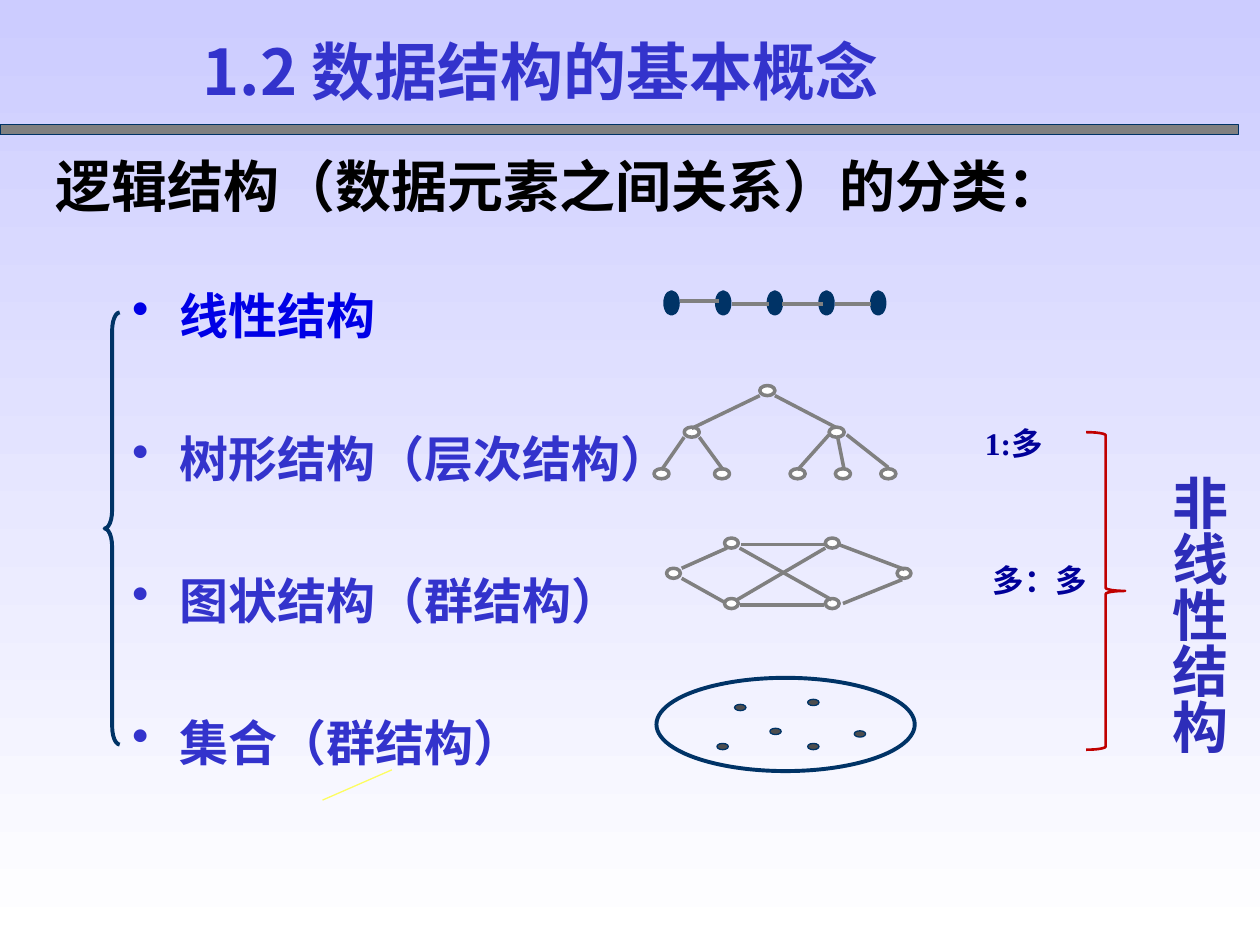
from lxml import etree
from pptx import Presentation
from pptx.dml.color import RGBColor
from pptx.enum.shapes import MSO_CONNECTOR, MSO_SHAPE
from pptx.enum.text import MSO_AUTO_SIZE, PP_ALIGN
from pptx.oxml.ns import qn
from pptx.util import Inches, Pt

RECT, OVAL = MSO_SHAPE.RECTANGLE, MSO_SHAPE.OVAL
LEFT_BRACE, RIGHT_BRACE = MSO_SHAPE.LEFT_BRACE, MSO_SHAPE.RIGHT_BRACE
STRAIGHT = MSO_CONNECTOR.STRAIGHT
LEFT, CENTER, JUSTIFY = PP_ALIGN.LEFT, PP_ALIGN.CENTER, PP_ALIGN.JUSTIFY
NO_AUTOSIZE = MSO_AUTO_SIZE.NONE

BLACK = RGBColor(0x00, 0x00, 0x00)
WHITE = RGBColor(0xFF, 0xFF, 0xFF)
LAVENDER = RGBColor(0xCC, 0xCC, 0xFF)
NAVY = RGBColor(0x00, 0x33, 0x66)
GRAY = RGBColor(0x80, 0x80, 0x80)
DARK_GRAY = RGBColor(0x4D, 0x4D, 0x4D)
BLUE = RGBColor(0x00, 0x00, 0xE6)
INDIGO = RGBColor(0x33, 0x33, 0xCC)
DEEP_INDIGO = RGBColor(0x2D, 0x2D, 0xB9)
DARK_BLUE = RGBColor(0x00, 0x00, 0x99)
RED = RGBColor(0xC0, 0x00, 0x00)
YELLOW = RGBColor(0xFD, 0xFD, 0x60)

SERIF = "Times New Roman"
SANS = "Noto Sans CJK SC"


class SlideBuilder:
    def __init__(self, prs):
        self.s = prs.slides.add_slide(prs.slide_layouts[6])

    def background(self, top, bottom):
        fill = self.s.background.fill
        fill.gradient()
        fill.gradient_angle = 270
        for stop, color in zip(fill.gradient_stops, (top, bottom)):
            stop.color.rgb = color

    def shape(self, kind, x, y, w, h, line, width, fill=None, adjust=None):
        sp = self.s.shapes.add_shape(kind, Inches(x), Inches(y), Inches(w), Inches(h))
        sp.shadow.inherit = False
        if fill is None:
            sp.fill.background()
        else:
            sp.fill.solid()
            sp.fill.fore_color.rgb = fill
        sp.line.color.rgb = line
        sp.line.width = Pt(width)
        if adjust is not None:
            sp.adjustments[0] = adjust
        return sp

    def line(self, x1, y1, x2, y2, color=GRAY, width=2):
        cx = self.s.shapes.add_connector(
            STRAIGHT, Inches(x1), Inches(y1), Inches(x2), Inches(y2))
        cx.line.color.rgb = color
        cx.line.width = Pt(width)
        etree.SubElement(cx._element.spPr, qn("a:effectLst"))

    def graph(self, nodes, edges, w, h):
        for x, y in nodes:
            self.shape(OVAL, x, y, w, h, GRAY, 2, WHITE)
        for edge in edges:
            self.line(*edge)

    def text(self, x, y, w, h, lines, size, color, font=SERIF, align=LEFT):
        sp = self.s.shapes.add_textbox(Inches(x), Inches(y), Inches(w), Inches(h))
        tf = sp.text_frame
        tf.word_wrap = True
        tf.auto_size = NO_AUTOSIZE
        tf.text = "\n".join(lines)
        for p in tf.paragraphs:
            p.alignment = align
            for r in p.runs:
                r.font.size = Pt(size)
                r.font.bold = True
                r.font.name = font
                r.font.color.rgb = color
                ea = etree.SubElement(r._r.get_or_add_rPr(), qn("a:ea"))
                ea.set("typeface", SANS)
        return tf

    def bullets(self, x, y, w, h, items, size, color, first_color, gap):
        tf = self.text(x, y, w, h, items, size, color)
        tf.paragraphs[0].runs[0].font.color.rgb = first_color
        for p in tf.paragraphs:
            p.space_after = Pt(gap)
            pPr = p._p.get_or_add_pPr()
            pPr.set("marL", str(Inches(0.38)))
            pPr.set("indent", str(Inches(-0.38)))
            bu_color = etree.SubElement(pPr, qn("a:buClr"))
            rgb = etree.SubElement(bu_color, qn("a:srgbClr"))
            rgb.set("val", str(p.runs[0].font.color.rgb))
            etree.SubElement(pPr, qn("a:buChar")).set("char", "•")

    def vertical_text(self, x, y, w, h, text, size, color):
        tf = self.text(x, y, w, h, [text], size, color, SANS, JUSTIFY)
        tf.word_wrap = False
        tf.margin_left = tf.margin_right = Inches(0.05)
        tf.margin_top = tf.margin_bottom = Inches(0.1)
        tf._txBody.bodyPr.set("vert", "eaVert")


def main():
    prs = Presentation()
    prs.slide_width, prs.slide_height = Inches(10), Inches(7.5)
    b = SlideBuilder(prs)
    b.background(LAVENDER, WHITE)

    b.shape(RECT, 0, 0.99, 9.83, 0.08, NAVY, 0.75, GRAY)
    b.text(0.34, 1.15, 8.52, 0.64, ["逻辑结构（数据元素之间关系）的分类："], 32, BLACK)
    structures = ["线性结构", "树形结构（层次结构）", "图状结构（群结构）", "集合（群结构）"]
    b.bullets(0.95, 2.22, 7.56, 3.86, structures, 28, INDIGO, BLUE, 47.7)

    for i in range(5):
        b.shape(OVAL, 5.28 + 0.41 * i, 2.32, 0.1, 0.17, NAVY, 2.25, NAVY)
    for x1, x2, y in [(5.4, 5.71, 2.39), (5.81, 6.1, 2.41),
                      (6.21, 6.53, 2.41), (6.63, 6.91, 2.41)]:
        b.line(x1, y, x2, y, width=2.25)

    tree_levels = {3.06: [6.03], 3.39: [5.43, 6.58],
                   3.72: [5.19, 5.67, 6.27, 6.63, 6.99]}
    tree_nodes = [(x, y) for y, xs in tree_levels.items() for x in xs]
    tree_edges = [
        (6.03, 3.14, 5.49, 3.4), (6.15, 3.14, 6.63, 3.39),
        (5.43, 3.47, 5.25, 3.73), (5.55, 3.47, 5.74, 3.73),
        (6.58, 3.45, 6.33, 3.73), (6.65, 3.48, 6.7, 3.73),
        (6.72, 3.45, 7.05, 3.71),
    ]
    b.graph(tree_nodes, tree_edges, 0.12, 0.08)

    net_nodes = [(x, y) for x in (5.75, 6.55) for y in (4.27, 4.75)]
    net_nodes += [(5.29, 4.51), (7.12, 4.51)]
    net_edges = [
        (5.41, 4.51, 5.77, 4.35), (5.41, 4.59, 5.75, 4.78),
        (5.88, 4.32, 6.55, 4.32), (5.87, 4.8, 6.54, 4.8),
        (6.65, 4.32, 7.18, 4.52), (6.69, 4.79, 7.16, 4.6),
        (5.87, 4.35, 6.6, 4.76), (6.55, 4.35, 5.85, 4.76),
    ]
    b.graph(net_nodes, net_edges, 0.11, 0.08)

    for x, y, ratio in [(7.42, 3.32, "1:多"), (7.63, 4.4, "多：多")]:
        b.text(x, y, 1.25, 0.4, [ratio], 18, DARK_BLUE, align=CENTER)

    b.shape(LEFT_BRACE, 0.83, 2.48, 0.12, 3.43, NAVY, 2.25, adjust=1.2)

    b.shape(OVAL, 5.21, 5.38, 2.05, 0.74, NAVY, 2.25)
    for x, y in [(5.83, 5.59), (6.41, 5.55), (5.69, 5.9),
                 (6.41, 5.9), (6.11, 5.78), (6.78, 5.8)]:
        b.shape(OVAL, x, y, 0.09, 0.05, NAVY, 0.75, DARK_GRAY)

    b.text(1.51, 0.21, 8.5, 1.25, ["1.2 数据结构的基本概念"], 36, INDIGO, SANS)
    b.line(3.11, 6.11, 2.56, 6.35, YELLOW, 0.75)
    b.shape(RIGHT_BRACE, 8.62, 3.43, 0.31, 2.52, RED, 1.5, adjust=0.08)
    b.vertical_text(9.1, 3.67, 0.73, 2.33, "非线性结构", 32, DEEP_INDIGO)

    prs.save("out.pptx")


if __name__ == "__main__":
    main()
